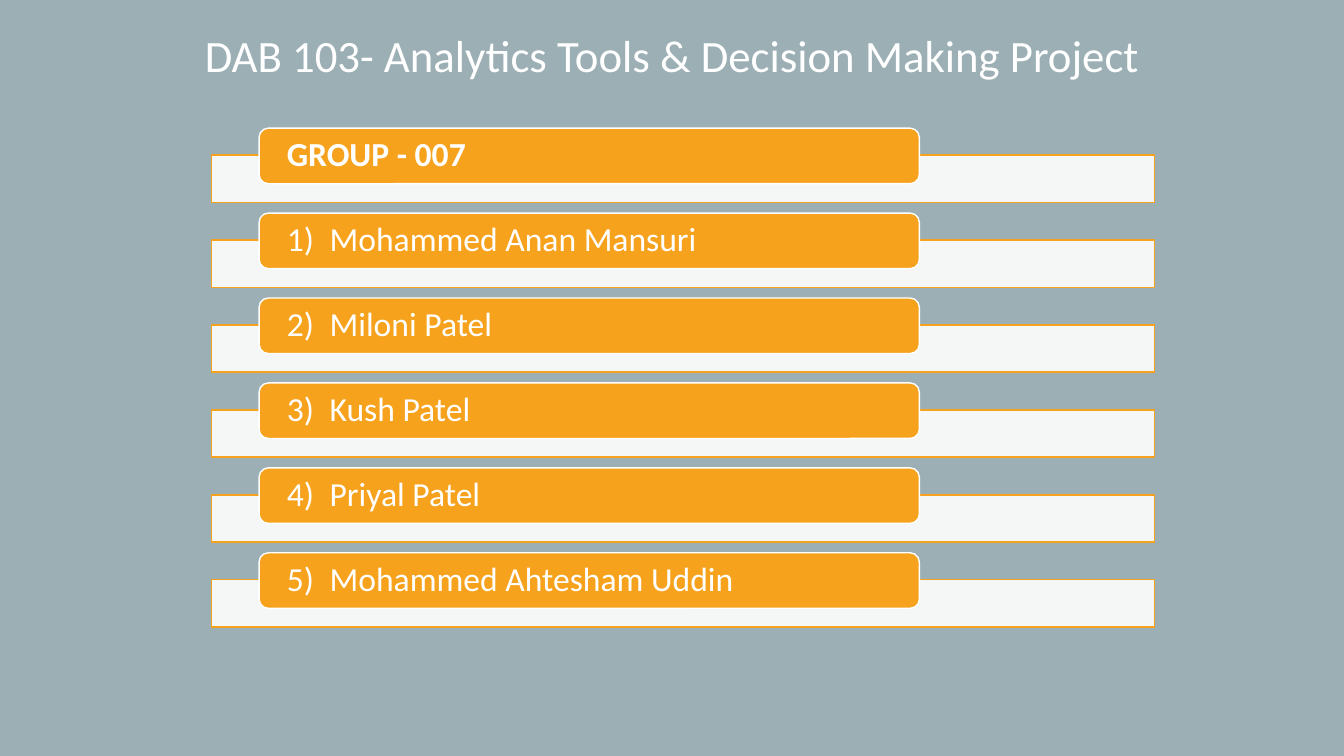
"""Build the project title slide with its list of group members."""
import pptx
import pptx.dml.color
import pptx.enum.shapes
import pptx.enum.text
import pptx.oxml
import pptx.oxml.ns
import pptx.util
from pptx.util import Cm

RGBColor = pptx.dml.color.RGBColor
SHAPE = pptx.enum.shapes.MSO_SHAPE
ALIGN = pptx.enum.text.PP_ALIGN
ANCHOR = pptx.enum.text.MSO_ANCHOR

GREY = RGBColor(0x9B, 0xAF, 0xB5)
ORANGE = RGBColor(0xF6, 0xA2, 0x1D)
WHITE = RGBColor(0xFF, 0xFF, 0xFF)

HEADER = "GROUP - 007"
MEMBERS = [
    "Mohammed Anan Mansuri",
    "Miloni Patel",
    "Kush Patel",
    "Priyal Patel",
    "Mohammed Ahtesham Uddin",
]
STEP = Cm(2.14)
HANG = Cm(1.08)


def style(para, size, align, bold=False):
    para.alignment = align
    para.font.name = "Calibri"
    para.font.size = pptx.util.Pt(size)
    para.font.bold = bold
    para.font.color.rgb = WHITE


def add_title(slide, text):
    title = slide.shapes.title
    title.left, title.top = Cm(3.56), Cm(0.58)
    title.width, title.height = Cm(26.77), Cm(1.35)
    frame = title.text_frame
    frame.text = text
    frame.vertical_anchor = ANCHOR.TOP
    style(frame.paragraphs[0], 32, ALIGN.CENTER)


def add_box(group, kind, left, top, width, height, fill, line):
    box = group.shapes.add_shape(kind, left, top, width, height)
    box.shadow.inherit = False
    box.fill.solid()
    box.fill.fore_color.rgb = fill
    box.line.color.rgb = line
    box.line.width = pptx.util.Pt(1)
    return box


def add_bar(group, top):
    bar = add_box(group, SHAPE.RECTANGLE, Cm(5.33), top, Cm(23.77), Cm(1.19),
                  WHITE, ORANGE)
    color = bar.fill._xPr.find(".//" + pptx.oxml.ns.qn("a:srgbClr"))
    alpha = pptx.oxml.parse_xml(
        f'<a:alpha {pptx.oxml.ns.nsdecls("a")} val="90000"/>')
    color.append(alpha)


def add_label(group, top, text, bold, hang):
    label = add_box(group, SHAPE.ROUNDED_RECTANGLE, Cm(6.53), top, Cm(16.64),
                    Cm(1.4), ORANGE, WHITE)
    frame = label.text_frame
    frame.margin_left = frame.margin_right = Cm(0.63)
    frame.margin_top = frame.margin_bottom = 0
    frame.vertical_anchor = ANCHOR.MIDDLE
    frame.text = text
    para = frame.paragraphs[0]
    para.line_spacing = 0.9
    style(para, 24, ALIGN.LEFT, bold)
    if hang:
        props = para._p.get_or_add_pPr()
        props.set("marL", str(hang))
        props.set("indent", str(-hang))


def add_row(group, index, text, bold=False, hang=0):
    shift = index * STEP
    add_bar(group, Cm(3.91) + shift)
    add_label(group, Cm(3.23) + shift, text, bold, hang)


def main():
    deck = pptx.Presentation()
    deck.slide_width, deck.slide_height = Cm(33.87), Cm(19.05)
    slide = deck.slides.add_slide(deck.slide_layouts[5])
    slide.background.fill.solid()
    slide.background.fill.fore_color.rgb = GREY
    add_title(slide, "DAB 103- Analytics Tools & Decision Making Project")
    group = slide.shapes.add_group_shape()
    add_row(group, 0, HEADER, bold=True)
    for number, name in enumerate(MEMBERS, 1):
        add_row(group, number, f"{number})\t{name}", hang=HANG)
    deck.save("out.pptx")


if __name__ == "__main__":
    main()
